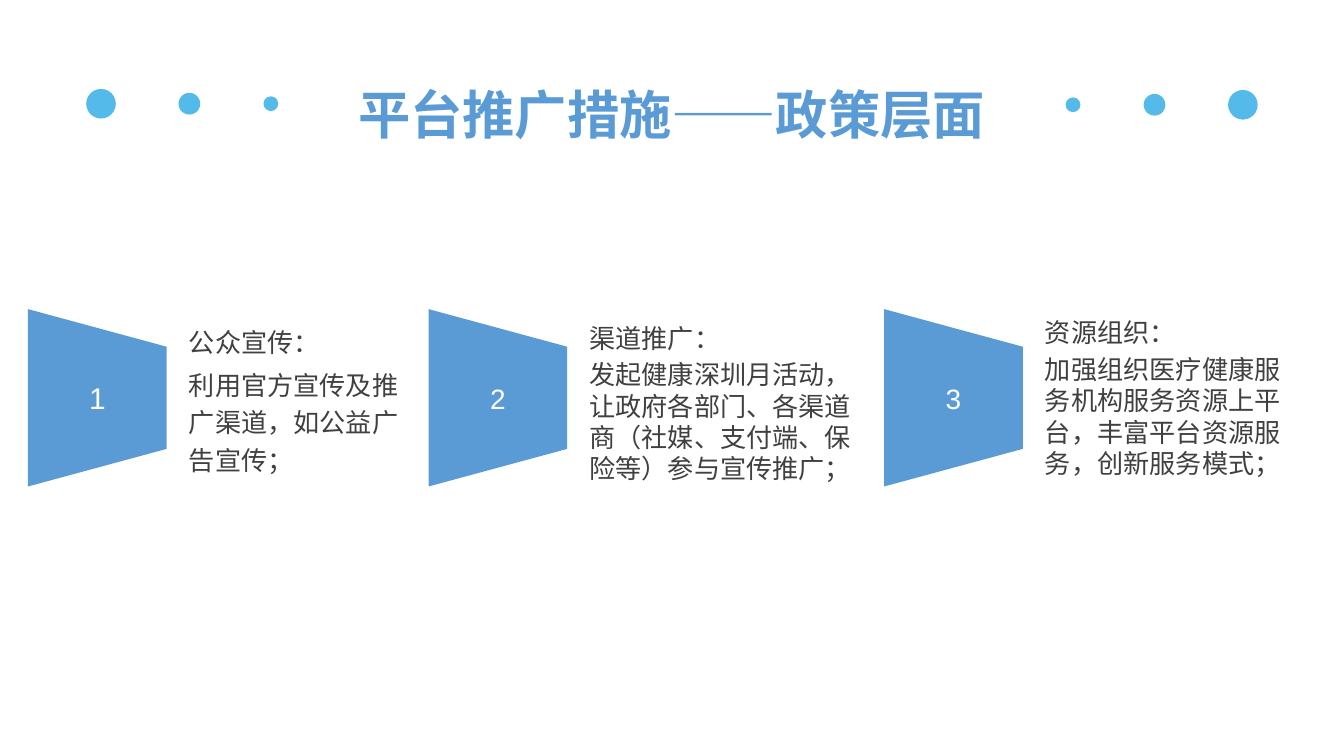
from dataclasses import dataclass

from pptx import Presentation
from pptx.dml.color import RGBColor
from pptx.enum.lang import MSO_LANGUAGE_ID as Language
from pptx.enum.shapes import MSO_SHAPE as Shape
from pptx.enum.text import MSO_ANCHOR as Anchor, MSO_AUTO_SIZE as AutoSize, PP_ALIGN as Align
from pptx.util import Cm, Pt


@dataclass(frozen=True)
class Theme:
    font: str = "Arial"
    dot: RGBColor = RGBColor(0x53, 0xBA, 0xE9)
    accent: RGBColor = RGBColor(0x5B, 0x9B, 0xD5)
    body: RGBColor = RGBColor(0x40, 0x40, 0x40)
    white: RGBColor = RGBColor(0xFF, 0xFF, 0xFF)
    title_size: int = 28
    body_size: int = 14
    gap: float = 2.8


THEME = Theme()
SLIDE_WIDTH, SLIDE_HEIGHT = 25.4, 14.28
MEASURE_TOP, MEASURE_HEIGHT = 5.84, 3.35
TAB_WIDTH, TAB_SLOPE = 2.62, 0.71
TEXT_OFFSET = 3.04

# Distance of the dot's centre from the slide edge, and its diameter
DOTS = [(1.91, 0.56), (3.58, 0.41), (5.12, 0.28)]

# Left edge, number size, text top, text width, line spacing, heading, detail
MEASURES = [
    (0.53, 16, 5.84, 4.09, 1.2, "公众宣传：",
     "利用官方宣传及推广渠道，如公益广告宣传；"),
    (8.1, 15, 5.94, 5.28, 1.0, "渠道推广：",
     "发起健康深圳月活动，让政府各部门、各渠道商（社媒、支付端、保险等）参与宣传推广；"),
    (16.71, 15, 5.84, 4.62, 1.0, "资源组织：",
     "加强组织医疗健康服务机构服务资源上平台，丰富平台资源服务，创新服务模式；"),
]


def style(para, size, color, bold=False):
    font = para.font
    font.name = THEME.font
    font.size = Pt(size)
    font.bold = bold
    font.color.rgb = color
    font.language_id = Language.SIMPLIFIED_CHINESE


def set_margins(frame, across, down):
    frame.margin_left = frame.margin_right = Cm(across)
    frame.margin_top = frame.margin_bottom = Cm(down)


def paint(shape, color):
    shape.shadow.inherit = False
    shape.fill.solid()
    shape.fill.fore_color.rgb = color
    shape.line.fill.background()


def set_title(page, text):
    title = page.shapes.title
    title.left, title.top, title.width, title.height = Cm(5.26), Cm(1.02), Cm(14.86), Cm(2.01)
    frame = title.text_frame
    frame.text = text
    frame.auto_size = AutoSize.NONE
    frame.vertical_anchor = Anchor.MIDDLE
    set_margins(frame, 0.18, 0.1)
    para = frame.paragraphs[0]
    para.alignment = Align.CENTER
    para.line_spacing = 1.2
    style(para, THEME.title_size, THEME.accent, bold=True)


def add_dot(page, center_x, center_y, diameter):
    radius = diameter / 2
    dot = page.shapes.add_shape(Shape.OVAL, Cm(center_x - radius), Cm(center_y - radius),
                                Cm(diameter), Cm(diameter))
    paint(dot, THEME.dot)


def add_number_tab(page, left, number, size):
    """Add a numbered trapezoid that narrows towards its text."""
    right, bottom = left + TAB_WIDTH, MEASURE_TOP + MEASURE_HEIGHT
    builder = page.shapes.build_freeform(Cm(left), Cm(MEASURE_TOP))
    builder.add_line_segments([
        (Cm(right), Cm(MEASURE_TOP + TAB_SLOPE)),
        (Cm(right), Cm(bottom - TAB_SLOPE)),
        (Cm(left), Cm(bottom)),
    ])
    tab = builder.convert_to_shape()
    paint(tab, THEME.accent)
    frame = tab.text_frame
    frame.text = str(number)
    frame.vertical_anchor = Anchor.MIDDLE
    para = frame.paragraphs[0]
    para.alignment = Align.CENTER
    style(para, size, THEME.white)


def add_description(page, left, top, width, spacing, heading, detail):
    box = page.shapes.add_textbox(Cm(left), Cm(top), Cm(width), Cm(MEASURE_HEIGHT))
    frame = box.text_frame
    frame.word_wrap = True
    frame.vertical_anchor = Anchor.MIDDLE
    set_margins(frame, 0, 0)
    frame.text = f"{heading}\n{detail}"
    for para in frame.paragraphs:
        para.line_spacing = spacing
        style(para, THEME.body_size, THEME.body)
    frame.paragraphs[1].space_before = Pt(THEME.gap)


def main():
    deck = Presentation()
    deck.slide_width, deck.slide_height = Cm(SLIDE_WIDTH), Cm(SLIDE_HEIGHT)
    page = deck.slides.add_slide(deck.slide_layouts.get_by_name("Title Only"))
    set_title(page, "平台推广措施——政策层面")
    for inset, diameter in DOTS:
        add_dot(page, inset, 1.96, diameter)
        add_dot(page, SLIDE_WIDTH - inset, 1.98, diameter)
    for number, measure in enumerate(MEASURES, start=1):
        left, number_size, *description = measure
        add_number_tab(page, left, number, number_size)
        add_description(page, left + TEXT_OFFSET, *description)
    deck.save("out.pptx")


if __name__ == "__main__":
    main()
